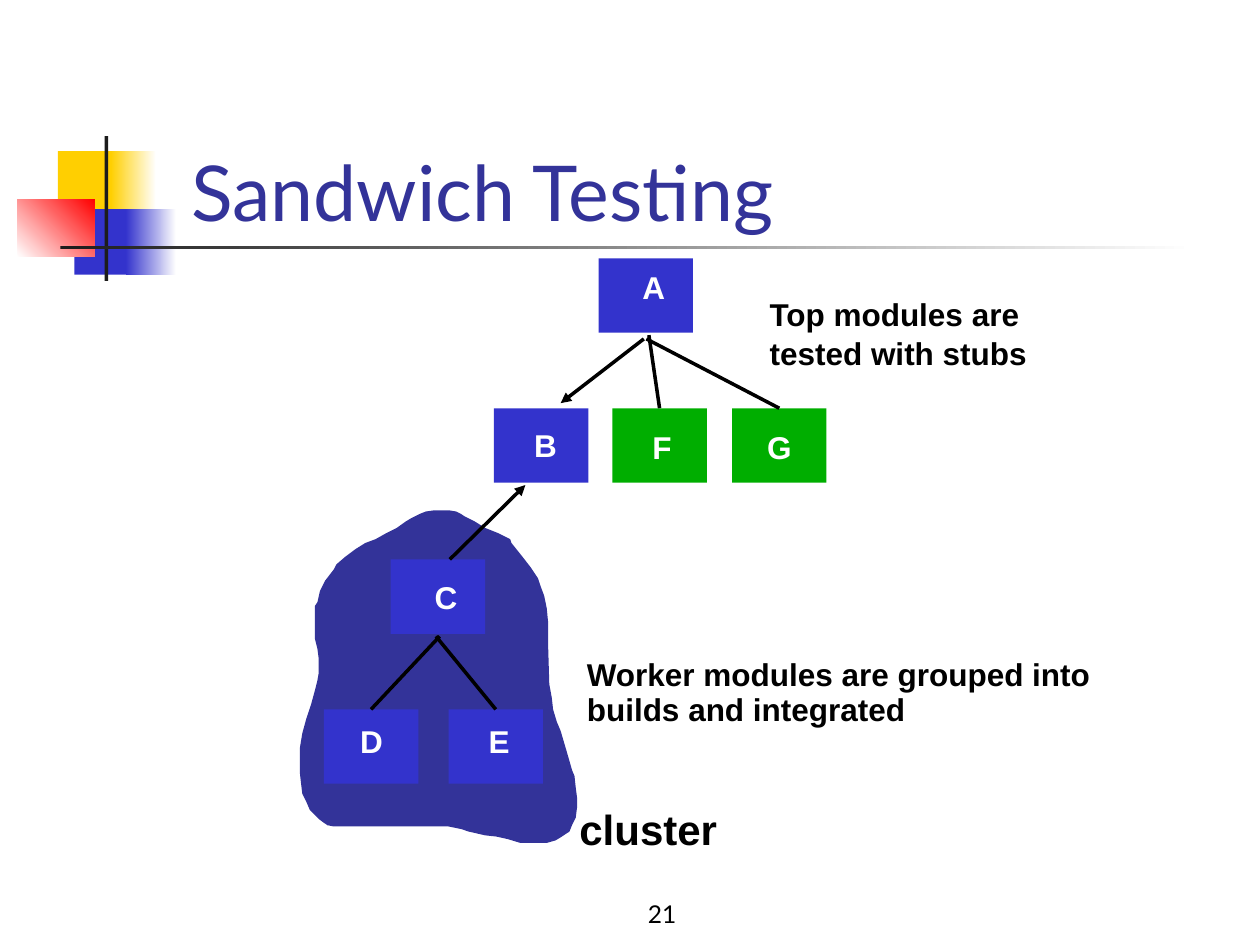
from lxml import etree
from pptx import Presentation
from pptx.dml.color import RGBColor
from pptx.enum import shapes as es, text as et
from pptx.oxml.ns import qn
from pptx.util import Inches, Pt

BLUE = RGBColor(0x33, 0x33, 0xCC)
NAVY = RGBColor(0x33, 0x33, 0x99)
GREEN = RGBColor(0x00, 0xAE, 0x00)
GOLD = RGBColor(0xFF, 0xCF, 0x01)
RED = RGBColor(0xFF, 0x00, 0x00)
DARK = RGBColor(0x1C, 0x1C, 0x1C)
BLACK = RGBColor(0, 0, 0)
WHITE = RGBColor(0xFF, 0xFF, 0xFF)

BODY = dict(name="Arial", size=Pt(18), bold=True)
HEAD = dict(name="Lato", size=Pt(44), bold=False)
FOOT = dict(name="Lato", size=Pt(14), bold=False)
BIG = dict(name="Arial", size=Pt(24), bold=True)

MOD_W, MOD_H = 0.75, 0.59

# Module: left and top in the tree, fill, then offset of its letter
MODULES = {
    "A": (2.18, 0, BLUE, 0.25, 0.03),
    "B": (1.35, 1.19, BLUE, 0.22, 0.09),
    "C": (0.53, 2.39, BLUE, 0.25, 0.1),
    "D": (0, 3.58, BLUE, 0.19, 0.05),
    "E": (0.99, 3.58, BLUE, 0.22, 0.05),
    "F": (2.29, 1.19, GREEN, 0.22, 0.11),
    "G": (3.24, 1.19, GREEN, 0.18, 0.11),
}

# Line: start, end, module whose top it joins, arrowhead
LINKS = [
    (0.92, 3.0, 0.35, 3.58, "D", False),
    (0.89, 3.0, 1.38, 3.58, "E", False),
    (2.58, 0.61, 2.63, 1.19, "F", False),
    (2.56, 0.64, 3.63, 1.19, "G", False),
    (2.54, 0.64, 1.88, 1.15, None, True),
    (1.0, 2.39, 1.6, 1.8, None, True),
]

# Outline of the cluster, in hundredths of an inch
BLOB = [
    (167, 23), (157, 18), (147, 14), (139, 9), (131, 5), (128, 3), (124, 1),
    (118, 0), (107, 0), (100, 1), (95, 3), (89, 6), (84, 9), (77, 14),
    (69, 18), (60, 23), (52, 26), (44, 31), (36, 37), (29, 43), (27, 47),
    (20, 56), (16, 64), (14, 73), (12, 76), (12, 102), (14, 110), (15, 118),
    (15, 129), (14, 135), (12, 143), (9, 154), (5, 166), (2, 177), (0, 189),
    (0, 208), (1, 217), (2, 225), (5, 231), (8, 238), (11, 241), (15, 245),
    (19, 248), (22, 250), (27, 251), (118, 251), (128, 253), (134, 255),
    (147, 258), (156, 259), (165, 261), (175, 264), (196, 264), (203, 262),
    (208, 259), (214, 255), (216, 250), (219, 244), (220, 236), (220, 228),
    (219, 220), (218, 211), (216, 206), (212, 192), (207, 175), (204, 168),
    (201, 158), (200, 149), (198, 138), (197, 104), (197, 88), (196, 78),
    (194, 68), (191, 60), (189, 54), (183, 45), (176, 36), (168, 26),
]


def paint(shape, color):
    shape.shadow.inherit = False
    shape.line.fill.background()
    shape.fill.solid()
    shape.fill.fore_color.rgb = color


def fade(shape, first, last, angle=0):
    shape.fill.gradient()
    shape.fill.gradient_angle = angle
    for stop, color in zip(shape.fill.gradient_stops, (first, last)):
        stop.color.rgb = color


def add_rect(slide, x, y, w, h, color):
    rect = slide.shapes.add_shape(
        es.MSO_SHAPE.RECTANGLE, Inches(x), Inches(y), Inches(w), Inches(h))
    paint(rect, color)
    return rect


def add_text(slide, box, lines, form, color=BLACK, wrap=False,
             anchor=et.MSO_ANCHOR.TOP, align=et.PP_ALIGN.LEFT):
    frame = slide.shapes.add_textbox(*map(Inches, box)).text_frame
    look = dict(word_wrap=wrap, vertical_anchor=anchor)
    if not wrap:
        look["auto_size"] = et.MSO_AUTO_SIZE.SHAPE_TO_FIT_TEXT
    for key, value in look.items():
        setattr(frame, key, value)
    for i, line in enumerate(lines):
        para = frame.paragraphs[0] if i == 0 else frame.add_paragraph()
        para.alignment = align
        if i:
            para.space_before = Pt(1)
        run = para.add_run()
        run.text = line
        for key, value in form.items():
            setattr(run.font, key, value)
        run.font.color.rgb = color


def add_link(slide, start, end, goal, arrow):
    line = slide.shapes.add_connector(
        es.MSO_CONNECTOR.STRAIGHT, *map(Inches, start + end))
    line.line.color.rgb = BLACK
    line.line.width = Pt(2)
    if goal is not None:
        line.end_connect(goal, 0)
    if arrow:
        etree.SubElement(line.line._get_or_add_ln(), qn("a:tailEnd"),
                         type="triangle")
    etree.SubElement(line._element.spPr, qn("a:effectLst"))


def add_motif(slide, x, y):
    """Coloured squares and crossing bars beside the title."""
    add_rect(slide, x + 0.32, y + 0.12, 0.48, 0.52, GOLD)
    fade(add_rect(slide, x + 0.74, y + 0.12, 0.36, 0.52, GOLD), GOLD, WHITE)
    add_rect(slide, x + 0.45, y + 0.58, 0.46, 0.52, BLUE)
    fade(add_rect(slide, x + 0.86, y + 0.58, 0.4, 0.52, BLUE), BLUE, WHITE)
    fade(add_rect(slide, x, y + 0.5, 0.61, 0.46, RED), WHITE, RED, 45)
    add_rect(slide, x + 0.69, y, 0.03, 1.15, DARK)
    fade(add_rect(slide, x + 0.34, y + 0.87, 9, 0.03, DARK), DARK, WHITE)


def add_cluster(slide, x, y):
    pen = slide.shapes.build_freeform(*BLOB[0], scale=Inches(0.01))
    pen.add_line_segments(BLOB[1:], close=True)
    paint(pen.convert_to_shape(Inches(x), Inches(y)), NAVY)


def add_tree(slide, x, y):
    """Modules A to G with the lines between them."""
    rects = {}
    for name, (dx, dy, color, tx, ty) in MODULES.items():
        left, top = x + dx, y + dy
        rects[name] = add_rect(slide, left, top, MOD_W, MOD_H, color)
        add_text(slide, (left + tx, top + ty, 0.38, 0.4), [name], BODY, WHITE)
    for x1, y1, x2, y2, goal, arrow in LINKS:
        add_link(slide, (x + x1, y + y1), (x + x2, y + y2),
                 rects.get(goal), arrow)


def add_notes(slide, x, y):
    """Remarks to the right of the tree."""
    add_text(slide, (x + 1.51, y, 2.24, 0.7),
             ["Top modules are", "tested with stubs"], BODY)
    add_text(slide, (x + 0.06, y + 2.86, 4.27, 0.4),
             ["Worker modules are grouped into"], BODY)
    add_text(slide, (x + 0.06, y + 3.14, 2.73, 0.4),
             ["builds and integrated"], BODY)
    add_text(slide, (x, y + 4.04, 1.29, 0.5), ["cluster"], BIG)


def main():
    deck = Presentation()
    deck.slide_width, deck.slide_height = Inches(10), Inches(7.5)
    slide = deck.slides.add_slide(deck.slide_layouts[6])
    add_motif(slide, 0.14, 1.08)
    add_text(slide, (3.67, 6.92, 3.17, 0.5), ["21"], FOOT, wrap=True,
             anchor=et.MSO_ANCHOR.BOTTOM, align=et.PP_ALIGN.CENTER)
    add_text(slide, (1.42, 1.25, 6.35, 0.52), ["Sandwich Testing"], HEAD,
             NAVY, wrap=True, anchor=et.MSO_ANCHOR.MIDDLE)
    add_cluster(slide, 2.38, 4.05)
    add_tree(slide, 2.57, 2.05)
    add_notes(slide, 4.5, 2.29)
    deck.save("out.pptx")


if __name__ == "__main__":
    main()
